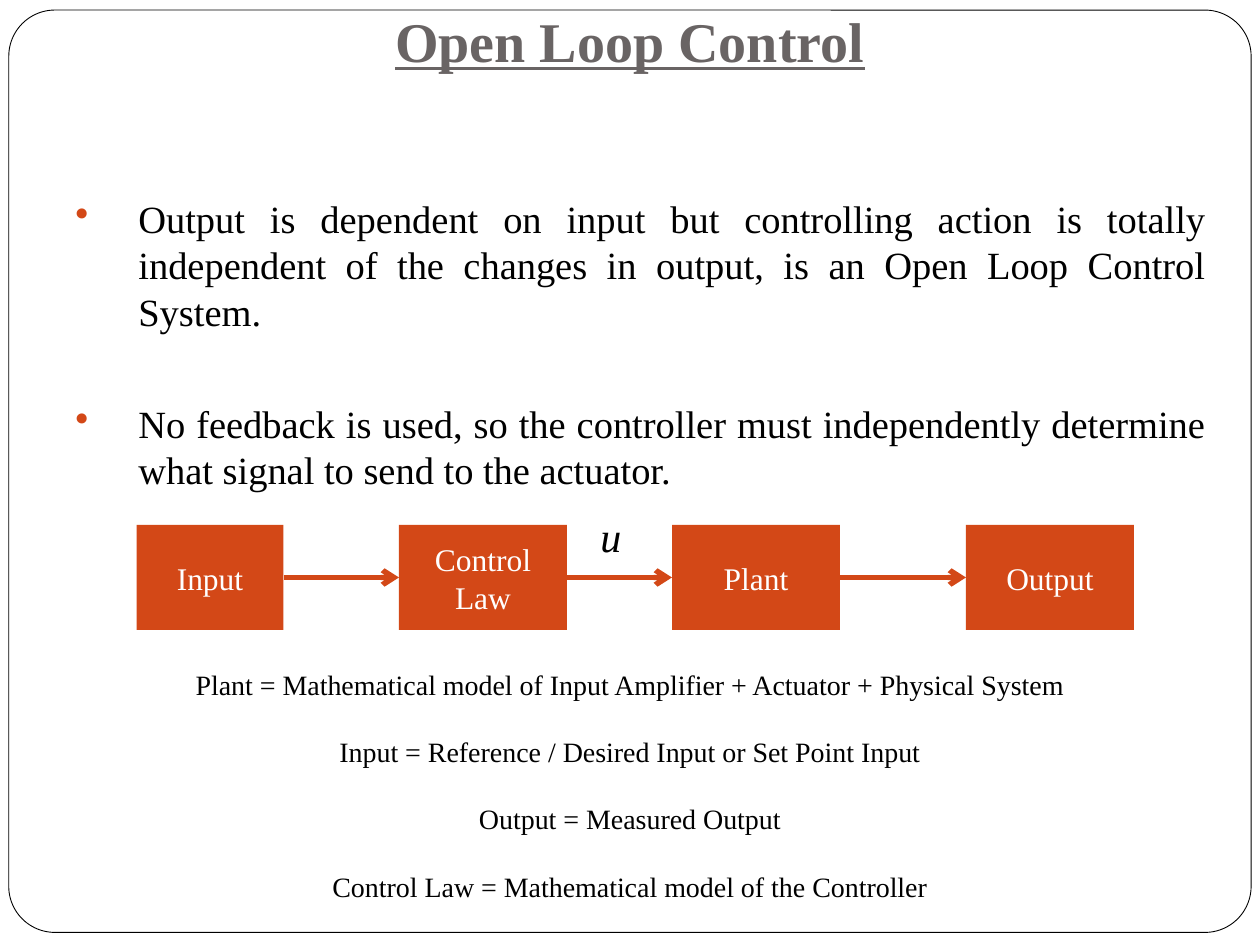
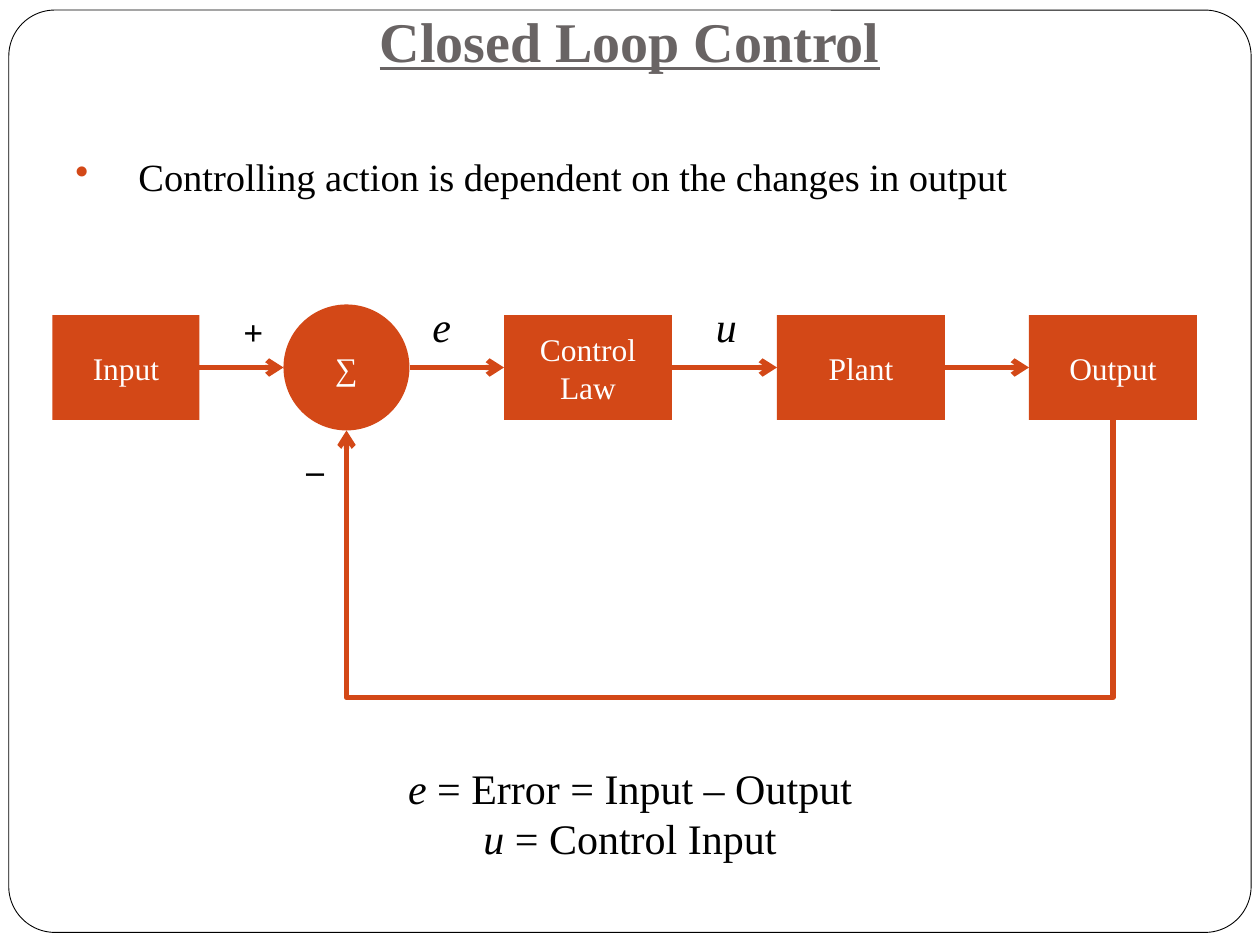
import pptx
import pptx.dml.color
import pptx.enum.shapes
import pptx.enum.text
import pptx.oxml.ns
import pptx.util
from dataclasses import dataclass
from lxml import etree

SHAPE = pptx.enum.shapes.MSO_SHAPE
LINE = pptx.enum.shapes.MSO_CONNECTOR
ALIGN = pptx.enum.text.PP_ALIGN
ANCHOR = pptx.enum.text.MSO_ANCHOR
COLUMNS, ROWS = 120, 90
CELL = pptx.util.Inches(10) // COLUMNS
TOP, LEFT, BOTTOM, RIGHT = range(4)


@dataclass(frozen=True)
class Theme:
    font: str = "Times New Roman"
    accent: str = "D34817"
    heading: str = "696464"
    ink: str = "000000"
    paper: str = "FFFFFF"
    title: int = 32
    bullet: int = 22
    block: int = 18
    symbol: int = 24
    sign: int = 20
    note: int = 16
    wire: int = 3
    lead: float = 5.8


THEME = Theme()

SLIDES = [
    {
        "title": "Open Loop Control",
        "title_rows": 9.6,
        "bullets": [
            "Output is dependent on input but controlling action is totally independent "
            "of the changes in output, is an Open Loop Control System.",
            "No feedback is used, so the controller must independently determine "
            "what signal to send to the actuator.",
        ],
        "bullet_area": (6, 18, 110, 33),
        "middle_row": 55,
        "blocks": [("Input", 13, 14), ("Control Law", 38, 16), ("Plant", 64, 16), ("Output", 92, 16)],
        "symbols": [("u", 56, 48)],
        "signs": [],
        "notes": [
            [("Plant = Mathematical model of Input Amplifier + Actuator + Physical System", False)],
            [("Input = Reference / Desired Input or Set Point Input", False)],
            [("Output = Measured Output", False)],
            [("Control Law = Mathematical model of the Controller", False)],
        ],
        "note_area": (3, 63, 114, 24),
        "note_size": THEME.note,
        "note_gap": 19.2,
    },
    {
        "title": "Closed Loop Control",
        "title_rows": 11.6,
        "bullets": ["Controlling action is dependent on the changes in output"],
        "bullet_area": (6, 14, 110, 11),
        "middle_row": 35,
        "blocks": [("Input", 5, 14), ("∑", 27, 12), ("Control Law", 48, 16),
                   ("Plant", 74, 16), ("Output", 98, 16)],
        "symbols": [("e", 40, 28), ("u", 67, 28)],
        "signs": [("+", 22, 29), ("_", 28, 41)],
        "feedback": ("Output", "∑", 66.4),
        "notes": [
            [("e ", True), ("= Error = Input – Output", False)],
            [("u ", True), ("= Control Input", False)],
        ],
        "note_area": (0, 72, 120, 11),
        "note_size": THEME.symbol,
        "note_gap": 0,
    },
]


def cells(*counts):
    return [round(count * CELL) for count in counts]


def rgb(value):
    return pptx.dml.color.RGBColor.from_string(value)


def set_font(para, size, color, bold=False, italic=False, underline=False):
    font = para.font
    font.name, font.size, font.color.rgb = THEME.font, pptx.util.Pt(size), rgb(color)
    font.bold, font.italic, font.underline = bold, italic, underline


def add_text(page, area, paragraphs, size, color=THEME.ink, align=ALIGN.LEFT, gap=0, **style):
    frame = page.shapes.add_textbox(*cells(*area)).text_frame
    frame.word_wrap = True
    for index, spans in enumerate(paragraphs):
        para = frame.paragraphs[0] if index == 0 else frame.add_paragraph()
        set_font(para, size, color, **style)
        para.alignment = align
        if index:
            para.space_before = pptx.util.Pt(gap)
        for text, italic in spans:
            span = para.add_run()
            span.text = text
            if italic:
                span.font.italic = True
    return frame


def add_shape(page, kind, area, fill):
    shape = page.shapes.add_shape(kind, *cells(*area))
    shape.shadow.inherit = False
    shape.fill.solid()
    shape.fill.fore_color.rgb = rgb(fill)
    shape.line.fill.background()
    return shape


def add_frame(page):
    frame = add_shape(page, SHAPE.ROUNDED_RECTANGLE, (0.84, 0.96, 118.32, 87.84), THEME.paper)
    frame.adjustments[0] = 0.05
    frame.line.color.rgb = rgb(THEME.ink)
    frame.line.width = pptx.util.Pt(0.5)


def add_bullets(page, bullets, area):
    frame = add_text(page, area, [[(text, False)] for text in bullets], THEME.bullet,
                     align=ALIGN.JUSTIFY, gap=38)
    frame.paragraphs[0].space_before = pptx.util.Pt(THEME.lead)
    indent = pptx.util.Inches(0.5)
    for para in frame.paragraphs:
        properties = para._p.get_or_add_pPr()
        properties.set("marL", str(indent))
        properties.set("indent", str(-indent))
        color = etree.SubElement(properties, pptx.oxml.ns.qn("a:buClr"))
        etree.SubElement(color, pptx.oxml.ns.qn("a:srgbClr"), val=THEME.accent)
        etree.SubElement(properties, pptx.oxml.ns.qn("a:buChar"), char="•")


def add_block(page, label, column, width, middle):
    is_sum = label == "∑"
    height = width if is_sum else 10
    kind = SHAPE.OVAL if is_sum else SHAPE.RECTANGLE
    block = add_shape(page, kind, (column, middle - height / 2, width, height), THEME.accent)
    frame = block.text_frame
    frame.word_wrap = True
    frame.vertical_anchor = ANCHOR.MIDDLE
    para = frame.paragraphs[0]
    para.text = label
    para.alignment = ALIGN.CENTER
    set_font(para, THEME.block, THEME.paper)
    return block


def add_arrow(page, kind, *ends):
    arrow = page.shapes.add_connector(kind, *cells(*ends))
    arrow.line.color.rgb = rgb(THEME.accent)
    arrow.line.width = pptx.util.Pt(THEME.wire)
    etree.SubElement(arrow.line._get_or_add_ln(), pptx.oxml.ns.qn("a:tailEnd"), type="arrow")
    etree.SubElement(arrow._element.spPr, pptx.oxml.ns.qn("a:effectLst"))
    return arrow


def add_chain(page, blocks, middle):
    shapes = [add_block(page, *block, middle) for block in blocks]
    for index in range(len(blocks) - 1):
        _, column, width = blocks[index]
        arrow = add_arrow(page, LINE.STRAIGHT, column + width, middle, blocks[index + 1][1], middle)
        source, target = shapes[index:index + 2]
        if source.auto_shape_type == SHAPE.RECTANGLE:
            arrow.begin_connect(source, RIGHT)
        if target.auto_shape_type == SHAPE.RECTANGLE:
            arrow.end_connect(target, LEFT)
    return {block[0]: shape for block, shape in zip(blocks, shapes)}


def add_feedback(page, source, target, lowest):
    start_x, start_y, end_x, end_y = (
        value / CELL for value in (source.left + source.width / 2, source.top + source.height,
                                   target.left + target.width / 2, target.top + target.height))
    span, rise = start_x - end_x, end_y - start_y
    center_x, center_y = (start_x + end_x) / 2, (start_y + end_y) / 2
    arrow = add_arrow(page, LINE.ELBOW, center_x - rise / 2, center_y - span / 2,
                      center_x + rise / 2, center_y + span / 2)
    properties = arrow._element.spPr
    properties.find(pptx.oxml.ns.qn("a:xfrm")).set("rot", str(90 * 60000))
    guides = properties.find(pptx.oxml.ns.qn("a:prstGeom")).find(pptx.oxml.ns.qn("a:avLst"))
    bend = round((lowest - start_y) / rise * 100000)
    etree.SubElement(guides, pptx.oxml.ns.qn("a:gd"), name="adj1", fmla=f"val {bend}")


def build_page(deck, content):
    page = deck.slides.add_slide(deck.slide_layouts[6])
    add_frame(page)
    add_text(page, (0, 0, COLUMNS, content["title_rows"]), [[(content["title"], False)]],
             THEME.title, THEME.heading, ALIGN.CENTER, bold=True, underline=True)
    add_bullets(page, content["bullets"], content["bullet_area"])
    blocks = add_chain(page, content["blocks"], content["middle_row"])
    if "feedback" in content:
        source, target, lowest = content["feedback"]
        add_feedback(page, blocks[source], blocks[target], lowest)
    for text, column, row in content["symbols"]:
        add_text(page, (column, row, 4, 6), [[(text, False)]], THEME.symbol, italic=True)
    for text, column, row in content["signs"]:
        add_text(page, (column, row, 4, 5), [[(text, False)]], THEME.sign, bold=True)
    add_text(page, content["note_area"], content["notes"], content["note_size"],
             align=ALIGN.CENTER, gap=content["note_gap"])


def main():
    deck = pptx.Presentation()
    deck.slide_width, deck.slide_height = cells(COLUMNS, ROWS)
    for content in SLIDES:
        build_page(deck, content)
    deck.save("out.pptx")


if __name__ == "__main__":
    main()
